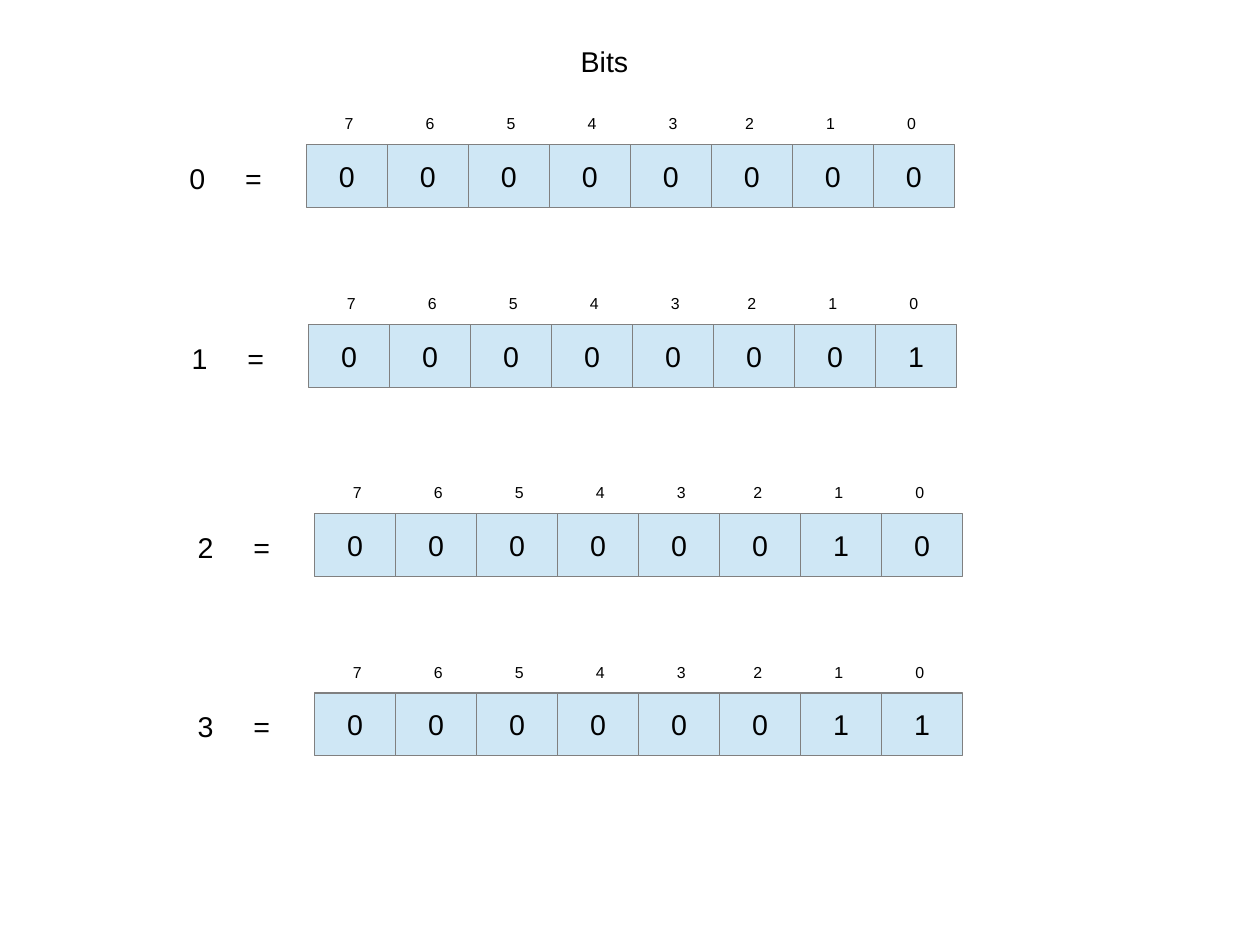
from lxml import etree
from pptx import Presentation
from pptx.dml.color import RGBColor
from pptx.enum.shapes import MSO_SHAPE
from pptx.enum.text import MSO_ANCHOR, MSO_AUTO_SIZE, PP_ALIGN
from pptx.oxml.ns import qn
from pptx.util import Cm, Pt

RECT = MSO_SHAPE.RECTANGLE
TOP, MIDDLE = MSO_ANCHOR.TOP, MSO_ANCHOR.MIDDLE
GROW = MSO_AUTO_SIZE.SHAPE_TO_FIT_TEXT
LEFT, CENTER = PP_ALIGN.LEFT, PP_ALIGN.CENTER

BLACK = RGBColor(0x00, 0x00, 0x00)
CELL_BLUE = RGBColor(0xCF, 0xE7, 0xF5)
CELL_GRAY = RGBColor(0x80, 0x80, 0x80)
FONT = "Arial"

BITS = 8
CELL_W, CELL_H = 1.8, 1.4
EQUALS_TAB = 1.24

# value, left and top of its row of cells, in cm
ROWS = [(0, 6.81, 3.21), (1, 6.86, 7.21), (2, 6.99, 11.41), (3, 6.99, 15.4)]


def write(tf, text, size, align, anchor=TOP):
    tf.vertical_anchor = anchor
    p = tf.paragraphs[0]
    p.alignment = align
    r = p.add_run()
    r.text = text
    r.font.name = FONT
    r.font.size = Pt(size)
    r.font.color.rgb = BLACK
    return p


def add_label(s, x, y, w, h, text, size, align):
    tf = s.shapes.add_textbox(Cm(x), Cm(y), Cm(w), Cm(h)).text_frame
    tf.word_wrap = False
    tf.auto_size = GROW
    return write(tf, text, size, align)


def add_tab_stop(p, pos):
    tabs = etree.SubElement(p._p.get_or_add_pPr(), qn("a:tabLst"))
    etree.SubElement(tabs, qn("a:tab"), pos=str(Cm(pos)), algn="l")


def add_title(s, x, y, w, h):
    sp = s.shapes.title
    sp.left, sp.top, sp.width, sp.height = Cm(x), Cm(y), Cm(w), Cm(h)
    tf = sp.text_frame
    # The full width to the right keeps the word on one line
    tf.margin_right = 0
    tf.word_wrap = False
    tf.auto_size = MSO_AUTO_SIZE.NONE
    write(tf, "Bits", 18, LEFT)


def add_cell(s, x, y, bit):
    sp = s.shapes.add_shape(RECT, Cm(x), Cm(y), Cm(CELL_W), Cm(CELL_H))
    sp.shadow.inherit = False
    sp.fill.solid()
    sp.fill.fore_color.rgb = CELL_BLUE
    sp.line.color.rgb = CELL_GRAY
    sp.line.width = Pt(0)
    write(sp.text_frame, bit, 18, CENTER, MIDDLE)


def add_byte_row(s, value, x, y):
    # Cells with the bit numbers above them
    for i, bit in enumerate(f"{value:0{BITS}b}"):
        cell_x = x + i * CELL_W
        add_cell(s, cell_x, y, bit)
        number = BITS - 1 - i
        inset = 0.6 if number > 2 else 0.5
        add_label(s, cell_x + inset, y - 0.8, 0.69, 0.64, str(number), 10, CENTER)
    # Decimal value and equals sign
    p = add_label(s, x - 2.85, y + 0.24, 2.11, 0.97, f"{value}\t=", 18, LEFT)
    add_tab_stop(p, EQUALS_TAB)


def main():
    prs = Presentation()
    prs.slide_width, prs.slide_height = Cm(28), Cm(21)
    s = prs.slides.add_slide(prs.slide_layouts[5])
    add_title(s, 12.65, 0.84, 1.55, 0.97)
    for value, x, y in ROWS:
        add_byte_row(s, value, x, y)
    prs.save("out.pptx")


if __name__ == "__main__":
    main()
